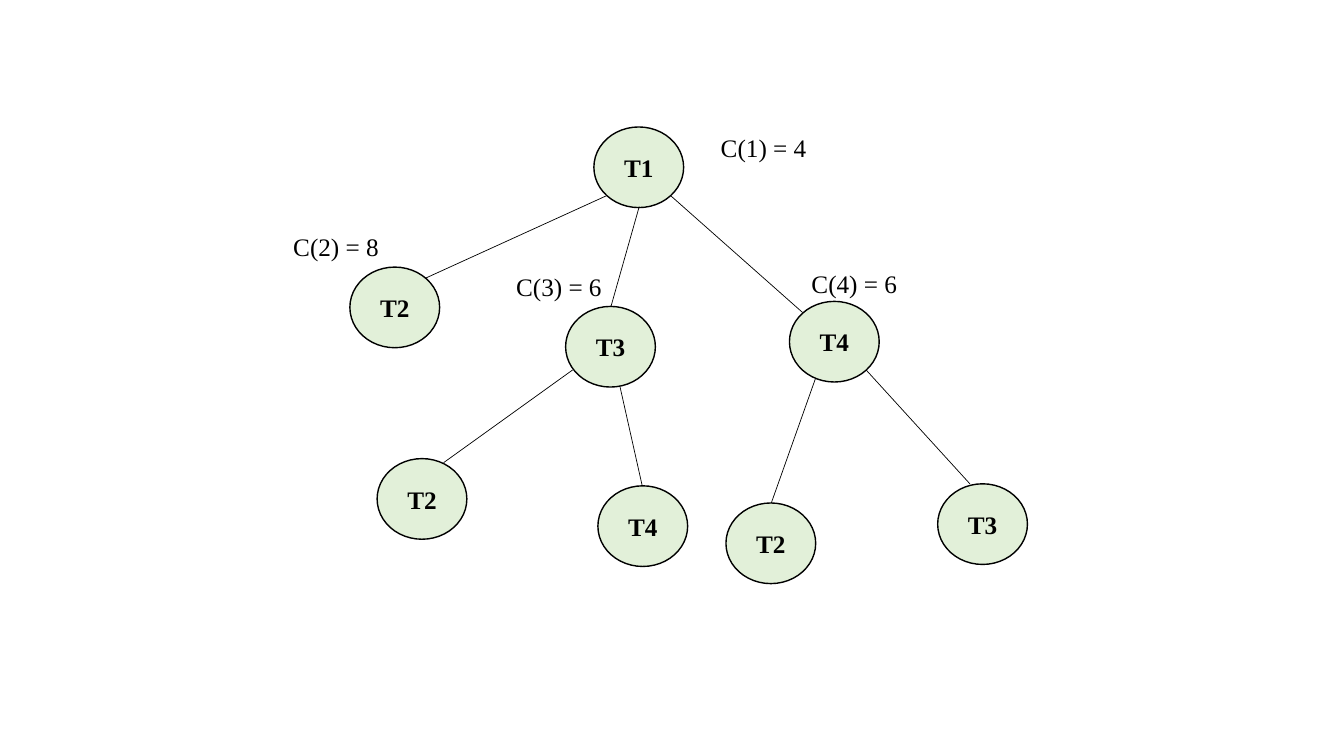
from lxml.etree import SubElement
from pptx import Presentation
from pptx.dml.color import RGBColor
from pptx.enum.shapes import MSO_CONNECTOR as Connector, MSO_SHAPE as Shape
from pptx.enum.text import MSO_ANCHOR as Anchor, MSO_AUTO_SIZE as AutoSize, PP_ALIGN as Align
from pptx.oxml.ns import qn
from pptx.util import Emu, Pt

EMU_PER_PX = 9144  # 100 px to the inch


def px(*lengths):
    return [Emu(length * EMU_PER_PX) for length in lengths]


def color(hex_code):
    return RGBColor.from_string(hex_code)


class TreeSlide:
    INK, NODE_FILL = "000000", "E2F0D9"
    NODE_SIZE = (89, 80)
    LABEL_SIZE = (138, 40)
    FONT = {"name": "Times New Roman", "size": Pt(18)}

    def __init__(self, deck):
        self.slide = deck.slides.add_slide(deck.slide_layouts[6])
        self.shapes = self.slide.shapes

    def caption(self, shape, text, align, frame_format, **font_format):
        frame = shape.text_frame
        for key, value in frame_format.items():
            setattr(frame, key, value)
        paragraph = frame.paragraphs[0]
        paragraph.alignment = align
        run = paragraph.add_run()
        run.text = text
        for key, value in {**self.FONT, **font_format}.items():
            setattr(run.font, key, value)
        run.font.color.rgb = color(self.INK)

    def stroke(self, line, width):
        line.color.rgb = color(self.INK)
        line.width = Pt(width)

    def node(self, task, left, top):
        oval = self.shapes.add_shape(Shape.OVAL, *px(left, top, *self.NODE_SIZE))
        oval.shadow.inherit = False
        oval.fill.solid()
        oval.fill.fore_color.rgb = color(self.NODE_FILL)
        self.stroke(oval.line, 1)
        self.caption(oval, task, Align.CENTER, {"vertical_anchor": Anchor.MIDDLE}, bold=True)

    def edge(self, *ends):
        branch = self.shapes.add_connector(Connector.STRAIGHT, *px(*ends))
        self.stroke(branch.line, 0.5)
        SubElement(branch._element.spPr, qn("a:effectLst"))

    def cost(self, number, value, left, top):
        box = self.shapes.add_textbox(*px(left, top, *self.LABEL_SIZE))
        self.caption(box, f"C({number}) = {value}", Align.LEFT,
                     {"word_wrap": True, "auto_size": AutoSize.SHAPE_TO_FIT_TEXT})


# Task, left, top
UPPER_NODES = [("T4", 783, 299), ("T3", 561, 304), ("T2", 347, 265), ("T1", 589, 126)]
LEAVES = [("T2", 720, 499), ("T3", 930, 480), ("T2", 374, 455), ("T4", 593, 482)]
# Parent end, child end
EDGES = [
    (602, 194, 422, 276), (634, 205, 606, 304), (665, 194, 796, 310),  # from T1
    (809, 375, 765, 499), (859, 367, 962, 480),  # from T4
    (568, 367, 440, 459), (615, 384, 637, 482),  # from T3
]
# Node number, cost, left, top
COSTS = [(1, 4, 705, 126), (2, 8, 281, 225), (3, 6, 502, 264), (4, 6, 795, 261)]


def main():
    deck = Presentation()
    deck.slide_width, deck.slide_height = px(1333, 750)
    tree = TreeSlide(deck)

    # Root and its children
    for node in UPPER_NODES:
        tree.node(*node)
    # Branches
    for edge in EDGES:
        tree.edge(*edge)
    # Last level
    for leaf in LEAVES:
        tree.node(*leaf)
    # Costs beside the nodes
    for cost in COSTS:
        tree.cost(*cost)

    deck.save("out.pptx")


if __name__ == "__main__":
    main()
